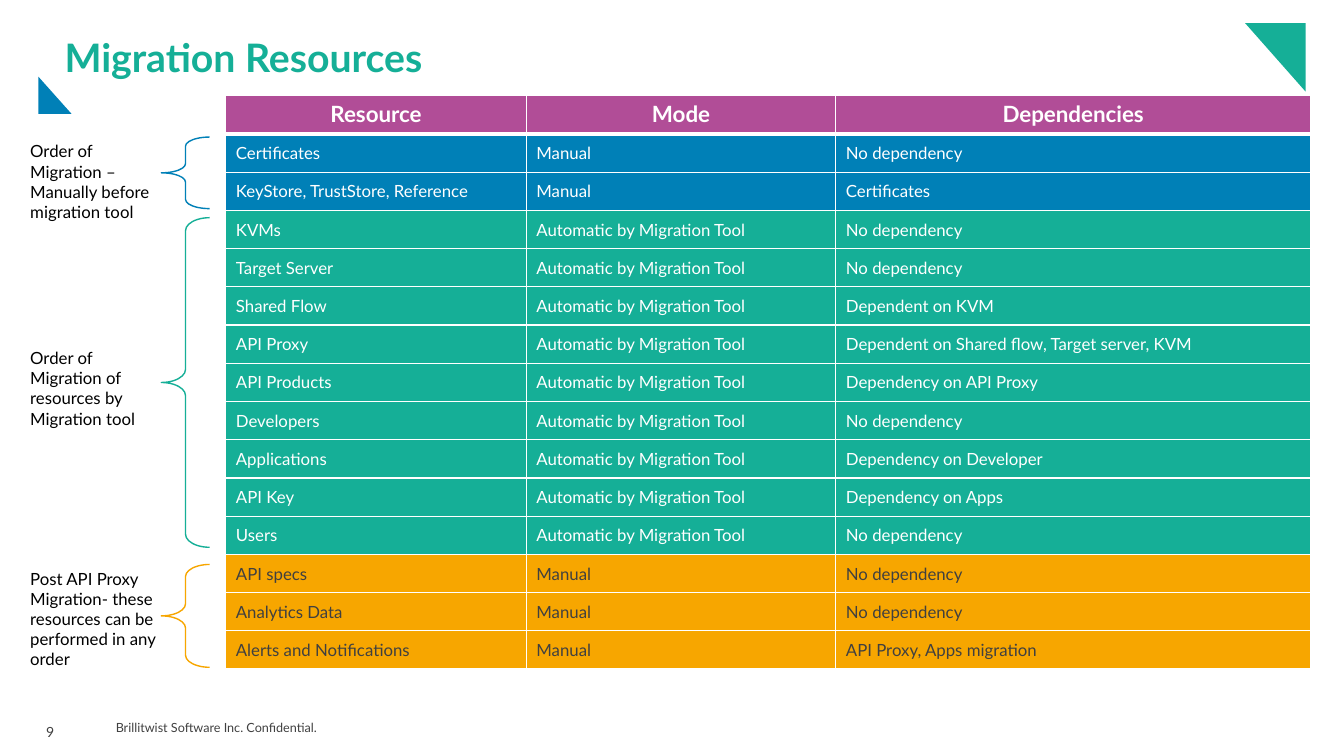
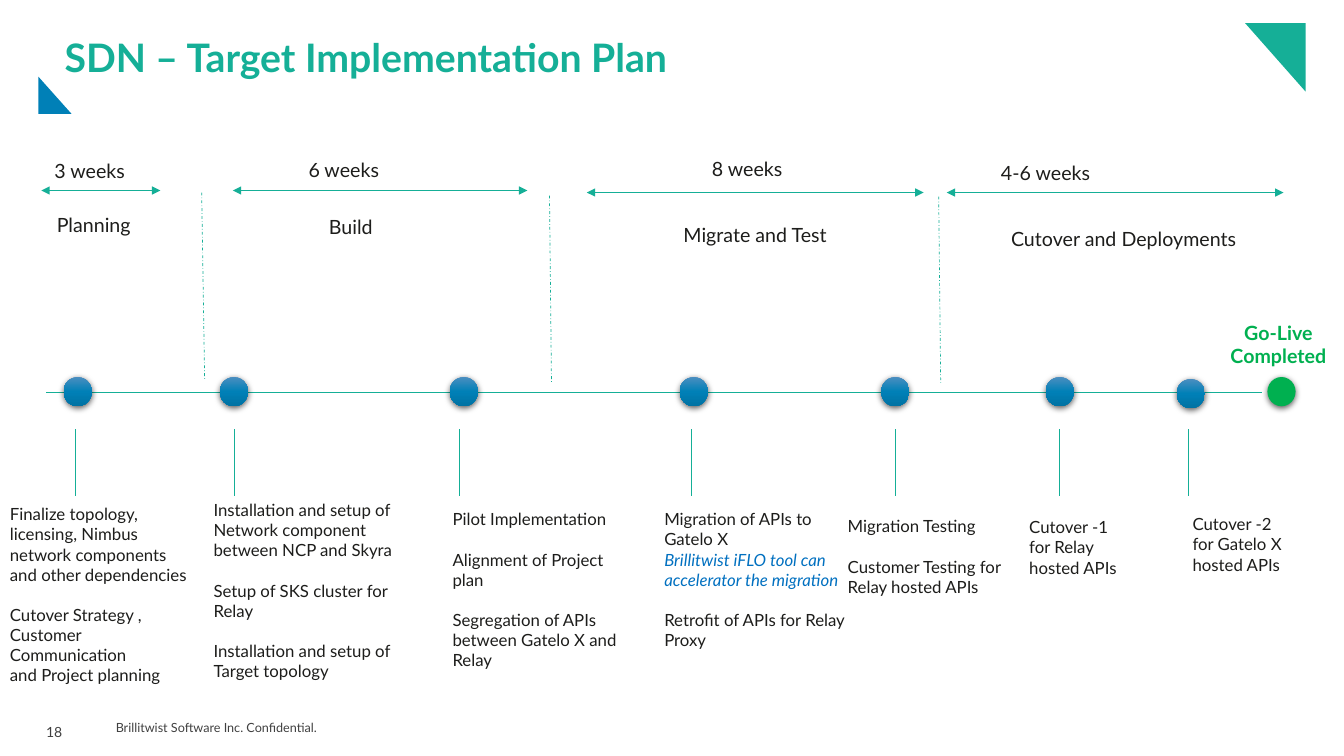
from copy import deepcopy
from dataclasses import dataclass
from typing import NamedTuple

from pptx import Presentation
from pptx.dml.color import RGBColor
from pptx.enum.dml import MSO_LINE
from pptx.enum.shapes import MSO_CONNECTOR, MSO_SHAPE
from pptx.enum.text import MSO_ANCHOR, PP_ALIGN
from pptx.oxml.ns import qn
from pptx.oxml.xmlchemy import OxmlElement
from pptx.shapes.autoshape import Shape
from pptx.slide import Slide
from pptx.text.text import TextFrame
from pptx.util import Inches, Pt

FONT = "Lato"
TEAL = RGBColor(0x15, 0xAF, 0x97)
BLUE = RGBColor(0x00, 0x80, 0xB7)
LIGHT_BLUE = RGBColor(0x4B, 0x8E, 0xC0)
DARK_BLUE = RGBColor(0x00, 0x72, 0xA3)
LINK_BLUE = RGBColor(0x00, 0x70, 0xC0)
ORANGE = RGBColor(0xF7, 0xA6, 0x00)
PURPLE = RGBColor(0xB1, 0x4D, 0x97)
GREEN = RGBColor(0x00, 0xB0, 0x50)
WHITE = RGBColor(0xFF, 0xFF, 0xFF)
BLACK = RGBColor(0x00, 0x00, 0x00)
INK = RGBColor(0x1D, 0x1D, 0x1B)
GRAY = RGBColor(0x40, 0x40, 0x40)

ROW_HEIGHT = 5.69 / 15
COLUMN_WIDTHS = (2.98, 3.07, 4.71)
AUTOMATIC = "Automatic by Migration Tool"
DOT_WIDTH, DOT_HEIGHT = 0.28, 0.29
BLANK_LINE = 14.4


class Box(NamedTuple):
    left: float
    top: float
    width: float
    height: float

    def lengths(self) -> list[int]:
        return [Inches(value) for value in self]


class Line(NamedTuple):
    text: str
    gap: float = 0
    color: RGBColor | None = None
    italic: bool = False


@dataclass(frozen=True)
class ResourceGroup:
    label: str
    label_box: Box
    brace_box: Box
    curve: float
    fill: RGBColor
    text_color: RGBColor
    rows: list[tuple[str, str, str]]


@dataclass(frozen=True)
class Phase:
    name: str
    name_box: Box
    duration: str
    duration_left: float
    duration_top: float
    start: float
    end: float
    arrow_top: float


@dataclass(frozen=True)
class Milestone:
    dot_left: float
    stem: float
    box: Box
    lines: list[Line]
    dot_top: float = 3.74


RESOURCE_GROUPS = [
    ResourceGroup(
        "Order of Migration – Manually before migration tool",
        Box(0.22, 1.36, 1.44, 0.89), Box(1.6, 1.36, 0.48, 0.71), 0.19, BLUE, WHITE,
        [("Certificates", "Manual", "No dependency"),
         ("KeyStore, TrustStore, Reference", "Manual", "Certificates")]),
    ResourceGroup(
        "Order of Migration of resources by Migration tool",
        Box(0.22, 3.41, 1.34, 0.89), Box(1.6, 2.16, 0.48, 3.27), 0.27, TEAL, WHITE,
        [("KVMs", AUTOMATIC, "No dependency"),
         ("Target Server", AUTOMATIC, "No dependency"),
         ("Shared Flow", AUTOMATIC, "Dependent on KVM"),
         ("API Proxy", AUTOMATIC, "Dependent on Shared flow, Target server, KVM"),
         ("API Products", AUTOMATIC, "Dependency on API Proxy"),
         ("Developers", AUTOMATIC, "No dependency"),
         ("Applications", AUTOMATIC, "Dependency on Developer"),
         ("API Key", AUTOMATIC, "Dependency on Apps"),
         ("Users", AUTOMATIC, "No dependency")]),
    ResourceGroup(
        "Post API Proxy Migration- these resources can be performed in any order",
        Box(0.22, 5.6, 1.44, 1.09), Box(1.6, 5.6, 0.48, 1.02), 0.25, ORANGE, GRAY,
        [("API specs", "Manual", "No dependency"),
         ("Analytics Data", "Manual", "No dependency"),
         ("Alerts and Notifications", "Manual", "API Proxy, Apps migration")]),
]

PHASES = [
    Phase("Planning", Box(0.19, 2.06, 1.48, 0.34), "3 weeks", 0.15, 1.53, 0.41, 1.59, 1.89),
    Phase("Build", Box(2.43, 2.08, 2.1, 0.34), "6 weeks", 2.67, 1.52, 2.31, 5.23, 1.89),
    Phase("Migrate and Test", Box(6.44, 2.16, 2.1, 0.34), "8 weeks", 6.67, 1.51, 5.82, 9.16, 1.91),
    Phase("Cutover and Deployments", Box(9.49, 2.2, 3.31, 0.34), "4-6 weeks", 9.63, 1.55, 9.39, 12.73, 1.91),
]

DIVIDERS = [(2, 1.91, 2.03, 3.77), (5.45, 1.94, 5.47, 3.8), (9.31, 1.95, 9.33, 3.8)]

MILESTONES = [
    Milestone(0.63, 0.75, Box(0, 4.95, 2, 1.72), [
        Line("Finalize topology, licensing, Nimbus network components and other dependencies"),
        Line("Cutover Strategy , Customer Communication", BLANK_LINE),
        Line("and Project planning")]),
    Milestone(2.18, 2.32, Box(2.02, 4.91, 2, 2.12), [
        Line("Installation and setup of Network component between NCP and Skyra"),
        Line("Setup of SKS cluster for Relay", BLANK_LINE),
        Line("Installation and setup of Target topology", BLANK_LINE)]),
    Milestone(4.46, 4.56, Box(4.39, 5, 2, 1.51), [
        Line("Pilot Implementation"),
        Line("Alignment of Project plan", BLANK_LINE),
        Line("Segregation of APIs between Gatelo X and Relay", BLANK_LINE)]),
    Milestone(6.74, 6.86, Box(6.49, 5, 2, 1.51), [
        Line("Migration of APIs to Gatelo X"),
        Line("Brillitwist iFLO tool can accelerator the migration", 0, LINK_BLUE, True),
        Line("Retrofit of APIs for Relay Proxy", BLANK_LINE)]),
    Milestone(8.74, 8.88, Box(8.31, 5.07, 2, 0.91), [
        Line("Migration Testing"),
        Line("Customer Testing for Relay hosted APIs", BLANK_LINE)]),
    Milestone(10.37, 10.51, Box(10.11, 5.08, 1.2, 0.71), [Line("Cutover -1 for Relay hosted APIs")]),
    Milestone(11.67, 11.79, Box(11.73, 5.05, 1.2, 0.71), [Line("Cutover -2 for Gatelo X hosted APIs")], 3.76),
]


def write_text(frame: TextFrame, text: str | list[Line], *, size: float, color: RGBColor,
               bold: bool = False, align: PP_ALIGN = PP_ALIGN.LEFT,
               spacing: float | int | None = None, after: float = 0) -> None:
    lines = [Line(text)] if isinstance(text, str) else text
    for index, line in enumerate(lines):
        paragraph = frame.add_paragraph() if index else frame.paragraphs[0]
        paragraph.alignment = align
        paragraph.space_before = Pt(line.gap)
        paragraph.space_after = Pt(after)
        if spacing:
            paragraph.line_spacing = spacing
        run = paragraph.add_run()
        run.text = line.text
        run.font.name = FONT
        run.font.size = Pt(size)
        run.font.bold = bold
        run.font.italic = line.italic
        run.font.color.rgb = line.color or color


def add_text(slide: Slide, box: Box, text: str | list[Line], *,
             inset: tuple[float, float] = (0.1, 0.05), wrap: bool = True,
             anchor: MSO_ANCHOR = MSO_ANCHOR.TOP, **style) -> None:
    frame = slide.shapes.add_textbox(*box.lengths()).text_frame
    frame.word_wrap = wrap
    frame.vertical_anchor = anchor
    frame.margin_left = frame.margin_right = Inches(inset[0])
    frame.margin_top = frame.margin_bottom = Inches(inset[1])
    write_text(frame, text, **style)


def add_triangle(slide: Slide, points: list[tuple[float, float]], color: RGBColor) -> None:
    corners = [(Inches(x), Inches(y)) for x, y in points]
    builder = slide.shapes.build_freeform(*corners[0])
    builder.add_line_segments(corners[1:], close=True)
    shape = builder.convert_to_shape()
    shape.shadow.inherit = False
    shape.fill.solid()
    shape.fill.fore_color.rgb = color
    shape.line.fill.background()


def add_line(slide: Slide, start: tuple[float, float], end: tuple[float, float], *,
             arrows: bool = False, dash: MSO_LINE | None = None) -> None:
    ends = [Inches(value) for value in (*start, *end)]
    connector = slide.shapes.add_connector(MSO_CONNECTOR.STRAIGHT, *ends)
    connector.line.color.rgb = TEAL
    connector.line.width = Pt(0.5)
    if dash:
        connector.line.dash_style = dash
    if arrows:
        outline = connector.line._get_or_add_ln()
        for tag in ("a:headEnd", "a:tailEnd"):
            arrow = OxmlElement(tag)
            arrow.set("type", "triangle")
            outline.append(arrow)
    connector._element.spPr.append(OxmlElement("a:effectLst"))


def fill_blue_gradient(shape: Shape) -> None:
    shape.fill.gradient()
    shape.fill.gradient_angle = 270
    stops = shape._element.spPr.find(qn("a:gradFill")).find(qn("a:gsLst"))
    stops.append(deepcopy(stops[-1]))
    colors = (LIGHT_BLUE, BLUE, DARK_BLUE)
    for index, (stop, color) in enumerate(zip(shape.fill.gradient_stops, colors)):
        stop.position = index / 2
        stop.color.rgb = color


def add_dot(slide: Slide, left: float, top: float, solid: RGBColor | None = None) -> None:
    box = Box(left, top, DOT_WIDTH, DOT_HEIGHT)
    shape = slide.shapes.add_shape(MSO_SHAPE.OVAL, *box.lengths())
    shape.line.fill.background()
    if solid:
        shape.fill.solid()
        shape.fill.fore_color.rgb = solid
    else:
        fill_blue_gradient(shape)
    shape.shadow.inherit = False
    shadow = OxmlElement("a:outerShdw")
    for name, value in (("blurRad", Pt(4.5)), ("dist", Pt(1.5)), ("dir", 5400000), ("rotWithShape", 0)):
        shadow.set(name, str(value))
    color = OxmlElement("a:srgbClr")
    color.set("val", str(BLACK))
    alpha = OxmlElement("a:alpha")
    alpha.set("val", "63000")
    color.append(alpha)
    shadow.append(color)
    shape._element.spPr.find(qn("a:effectLst")).append(shadow)


def add_base_slide(presentation: Presentation, title: str, number: int) -> Slide:
    slide = presentation.slides.add_slide(presentation.slide_layouts[6])
    add_text(slide, Box(1.05, 7.05, 2.73, 0.34), "Brillitwist Software Inc. Confidential.",
             size=9, color=GRAY, inset=(0.1, 0.1), anchor=MSO_ANCHOR.MIDDLE)
    add_text(slide, Box(0.36, 7.06, 0.37, 0.31), str(number),
             size=10, color=GRAY, wrap=False, spacing=Pt(17), after=2)
    add_triangle(slide, [(12.35, 0.23), (12.95, 0.23), (12.95, 0.91)], TEAL)
    add_triangle(slide, [(0.71, 1.13), (0.38, 1.13), (0.38, 0.76)], BLUE)
    add_text(slide, Box(0.64, 0.38, 12.01, 0.42), title, size=28, color=TEAL, bold=True,
             inset=(0, 0), anchor=MSO_ANCHOR.MIDDLE, spacing=0.9)
    return slide


def format_cell(cell, text: str, fill: RGBColor, top: float, bottom: float,
                anchor: MSO_ANCHOR, **style) -> None:
    properties = cell._tc.get_or_add_tcPr()
    for side, width in (("L", 1), ("R", 1), ("T", top), ("B", bottom)):
        border = OxmlElement(f"a:ln{side}")
        border.set("w", str(Pt(width)))
        paint = OxmlElement("a:solidFill")
        color = OxmlElement("a:srgbClr")
        color.set("val", str(WHITE))
        paint.append(color)
        border.append(paint)
        properties.append(border)
    cell.fill.solid()
    cell.fill.fore_color.rgb = fill
    cell.vertical_anchor = anchor
    write_text(cell.text_frame, text, **style)


def add_resource_table(slide: Slide) -> None:
    rows = [(group, row) for group in RESOURCE_GROUPS for row in group.rows]
    box = Box(2.24, 0.95, sum(COLUMN_WIDTHS), ROW_HEIGHT * (len(rows) + 1))
    table = slide.shapes.add_table(len(rows) + 1, len(COLUMN_WIDTHS), *box.lengths()).table
    table.horz_banding = False
    for column, width in zip(table.columns, COLUMN_WIDTHS):
        column.width = Inches(width)
    for row in table.rows:
        row.height = Inches(ROW_HEIGHT)
    for column, heading in enumerate(("Resource", "Mode", "Dependencies")):
        format_cell(table.cell(0, column), heading, PURPLE, 1, 3, MSO_ANCHOR.TOP,
                    size=16, color=WHITE, bold=True, align=PP_ALIGN.CENTER)
    for index, (group, texts) in enumerate(rows, start=1):
        for column, text in enumerate(texts):
            format_cell(table.cell(index, column), text, group.fill, 3 if index == 1 else 1, 1,
                        MSO_ANCHOR.MIDDLE, size=12, color=group.text_color)


def build_resources(presentation: Presentation) -> None:
    slide = add_base_slide(presentation, "Migration Resources", 9)
    for group in RESOURCE_GROUPS:
        brace = slide.shapes.add_shape(MSO_SHAPE.LEFT_BRACE, *group.brace_box.lengths())
        brace.shadow.inherit = False
        brace.adjustments[0] = group.curve
        brace.fill.background()
        brace.line.color.rgb = group.fill
        brace.line.width = Pt(1)
        add_text(slide, group.label_box, group.label, size=12, color=BLACK, inset=(0.08, 0.04))
    add_resource_table(slide)


def build_plan(presentation: Presentation) -> None:
    slide = add_base_slide(presentation, "SDN – Target Implementation Plan", 18)
    add_line(slide, (0.46, 3.89), (12.52, 3.89))
    for milestone in MILESTONES:
        add_dot(slide, milestone.dot_left, milestone.dot_top)
        add_line(slide, (milestone.stem, 4.26), (milestone.stem, 4.92))
        add_text(slide, milestone.box, milestone.lines, size=12, color=INK)
    add_dot(slide, 12.57, 3.74, GREEN)
    add_text(slide, Box(12.08, 3.13, 1.2, 0.57), "Go-Live Completed",
             size=14, color=GREEN, bold=True, align=PP_ALIGN.CENTER)
    for phase in PHASES:
        add_line(slide, (phase.start, phase.arrow_top), (phase.end, phase.arrow_top), arrows=True)
        duration_box = Box(phase.duration_left, phase.duration_top, 1.48, 0.34)
        for box, text in ((phase.name_box, phase.name), (duration_box, phase.duration)):
            add_text(slide, box, text, size=14, color=INK, align=PP_ALIGN.CENTER)
    for left, top, right, bottom in DIVIDERS:
        add_line(slide, (left, top), (right, bottom), dash=MSO_LINE.DASH_DOT)


def main() -> None:
    presentation = Presentation()
    presentation.slide_width = Inches(13.33)
    presentation.slide_height = Inches(7.5)
    build_resources(presentation)
    build_plan(presentation)
    presentation.save("out.pptx")


if __name__ == "__main__":
    main()
